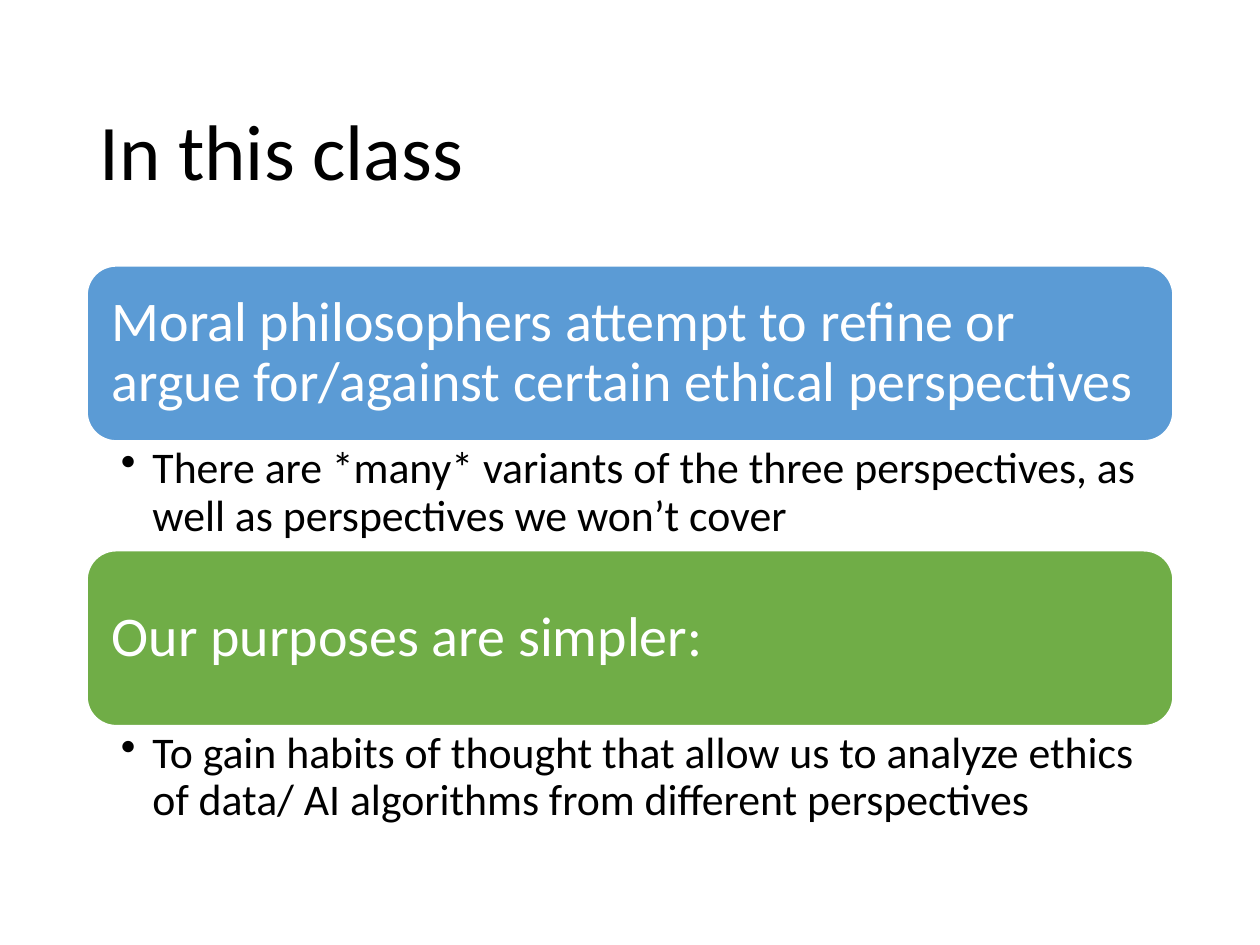
from lxml import etree
from pptx import Presentation
from pptx import util as u
from pptx.dml.color import RGBColor
from pptx.enum import shapes, text
from pptx.oxml.ns import qn

BLACK = RGBColor(0x00, 0x00, 0x00)
WHITE = RGBColor(0xFF, 0xFF, 0xFF)
BLUE = RGBColor(0x5B, 0x9B, 0xD5)
GREEN = RGBColor(0x70, 0xAD, 0x47)

LEFT, WIDTH = u.Inches(0.69), u.Inches(8.62)
TOP, BAR, NOTE = 2.11, 1.39, 0.87

ROWS = [
    (BLUE,
     "Moral philosophers attempt to refine or argue for/against certain ethical perspectives",
     "There are *many* variants of the three perspectives, as well as perspectives we won’t cover"),
    (GREEN,
     "Our purposes are simpler:",
     "To gain habits of thought that allow us to analyze ethics of data/ AI algorithms "
     "from different perspectives"),
]


def write(shape, words, size, color, anchor, pads, bullet=False):
    """Fill a shape with one left-aligned paragraph."""
    frame = shape.text_frame
    form = {"word_wrap": True, "vertical_anchor": anchor}
    sides = ("margin_left", "margin_top", "margin_right", "margin_bottom")
    form.update(zip(sides, map(u.Inches, pads)))
    for key, val in form.items():
        setattr(frame, key, val)
    para = frame.paragraphs[0]
    para.text = words
    para.alignment = text.PP_ALIGN.LEFT
    para.line_spacing = 0.9
    if bullet:
        para.level = 1
        props = para._p.get_or_add_pPr()
        props.set("marL", str(u.Inches(0.25)))
        props.set("indent", str(u.Inches(-0.25)))
        etree.SubElement(props, qn("a:buChar")).set("char", "•")
    font = para.runs[0].font
    for key, val in {"name": "Calibri", "size": u.Pt(size)}.items():
        setattr(font, key, val)
    font.color.rgb = color


deck = Presentation()
deck.slide_width, deck.slide_height = u.Inches(10), u.Inches(7.5)
slide = deck.slides.add_slide(deck.slide_layouts[6])

# Title
title = slide.shapes.add_textbox(LEFT, u.Inches(0.61), WIDTH, u.Inches(1.24))
write(title, "In this class", 45, BLACK, text.MSO_ANCHOR.MIDDLE,
      (0.1, 0.05, 0.1, 0.05))

# Coloured bars, each with a bulleted note below
for i, (fill, head, body) in enumerate(ROWS):
    top = TOP + i * (BAR + NOTE)
    bar = slide.shapes.add_shape(shapes.MSO_SHAPE.ROUNDED_RECTANGLE,
                                 LEFT, u.Inches(top), WIDTH, u.Inches(BAR))
    bar.shadow.inherit = False
    bar.fill.solid()
    bar.fill.fore_color.rgb = fill
    bar.line.color.rgb = WHITE
    bar.line.width = u.Pt(1)
    write(bar, head, 32, WHITE, text.MSO_ANCHOR.MIDDLE, (0.13,) * 4)

    note = slide.shapes.add_textbox(LEFT, u.Inches(top + BAR), WIDTH, u.Inches(NOTE))
    write(note, body, 25, BLACK, text.MSO_ANCHOR.TOP,
          (0.27, 0.04, 0.25, 0.04), bullet=True)

deck.save("out.pptx")
